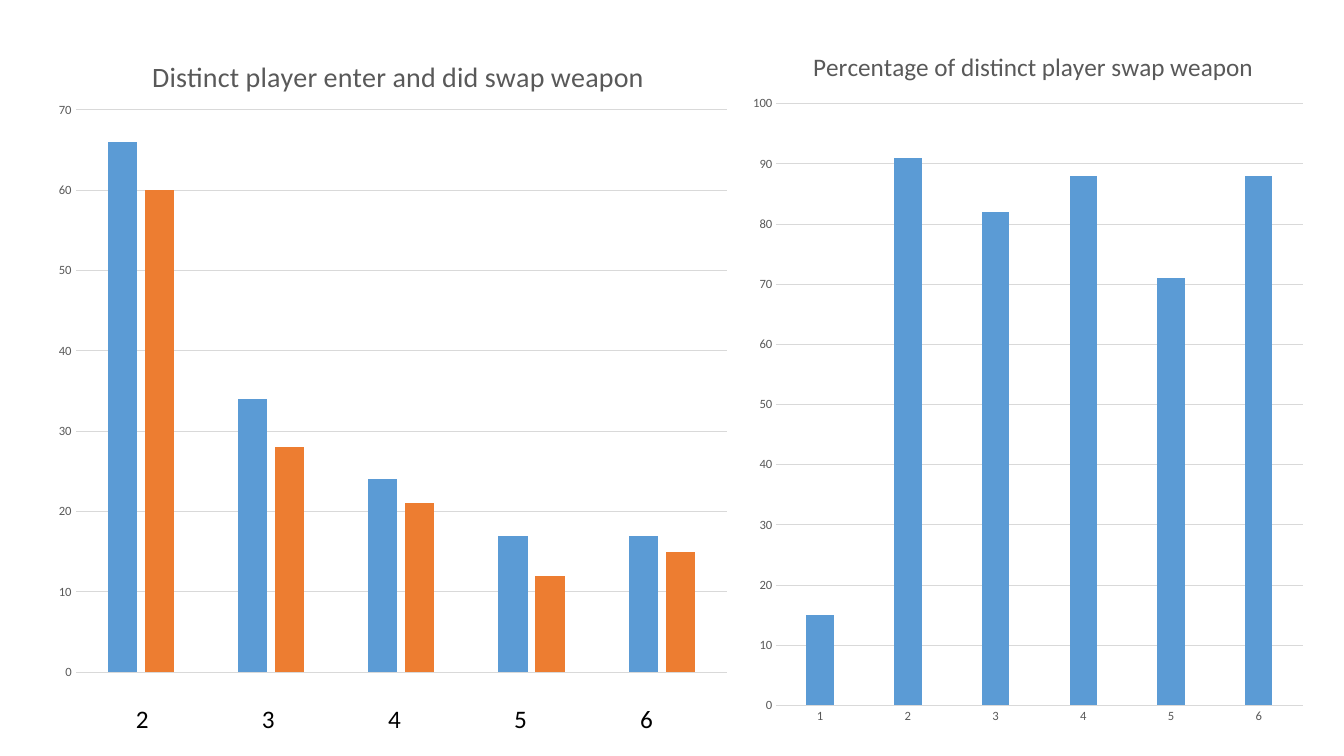
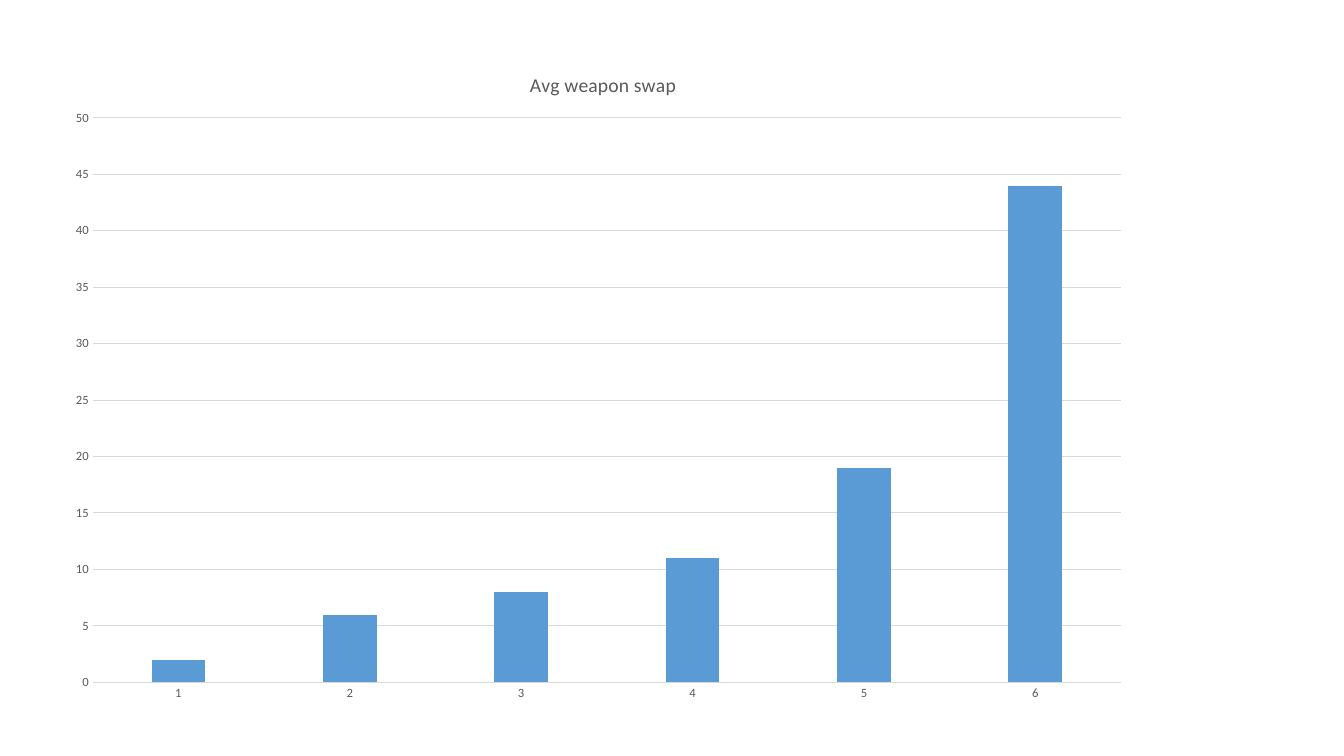
import dataclasses
import typing

import lxml.etree
import pptx
import pptx.chart.axis
import pptx.chart.chart
import pptx.chart.data
import pptx.dml.color
import pptx.enum.chart
import pptx.oxml.ns
import pptx.slide
import pptx.util

Inches = pptx.util.Inches
Pt = pptx.util.Pt
qn = pptx.oxml.ns.qn

FONT = "Calibri"
BLACK = "000000"
GREY_TEXT = "595959"
GRID_GREY = "D9D9D9"
SERIES_COLOURS = ("5B9BD5", "ED7D31")


class Box(typing.NamedTuple):
    """Left, top, width and height on the slide, in inches."""

    left: float
    top: float
    width: float
    height: float


@dataclasses.dataclass(frozen=True)
class ColumnChart:
    title: str
    title_size: int
    title_left: float
    title_top: float
    frame: Box
    plot: Box
    series: tuple[tuple[int, ...], ...]
    maximum: int
    step: int
    show_categories: bool = True


WEAPON_SLIDES = (
    (
        ColumnChart(
            "Distinct player enter and did swap weapon", 20, 1.46, 0.51,
            Box(0.45, 0.26, 6.91, 6.61), Box(0.75, 1.09, 6.46, 5.58),
            ((66, 34, 24, 17, 17), (60, 28, 21, 12, 15)), 70, 10,
            show_categories=False,
        ),
        ColumnChart(
            "Percentage of distinct player swap weapon", 18, 8.02, 0.44,
            Box(7.35, 0.17, 5.68, 7.17), Box(7.7, 1.03, 5.22, 5.97),
            ((15, 91, 82, 88, 71, 88),), 100, 10,
        ),
    ),
    (
        ColumnChart(
            "Avg weapon swap", 14, 5.22, 0.67,
            Box(0.54, 0.44, 10.8, 6.65), Box(0.92, 1.17, 10.2, 5.6),
            ((2, 6, 8, 11, 19, 44),), 50, 5,
        ),
    ),
)
LEVEL_LABELS = ("2", "3", "4", "5", "6")
LEVEL_BOX = Box(1.25, 6.93, 6.02, 0.4)
LEVEL_PITCH = 1.25


def colour(value: str) -> pptx.dml.color.RGBColor:
    return pptx.dml.color.RGBColor.from_string(value)


def apply_format(target: typing.Any, values: dict[str, typing.Any]) -> None:
    for name, value in values.items():
        setattr(target, name, value)


def format_font(font: typing.Any, size: float, value: str) -> None:
    apply_format(font, {"name": FONT, "size": Pt(size), "bold": False})
    font.color.rgb = colour(value)


def format_line(line: typing.Any) -> None:
    line.width = Pt(0.75)
    line.color.rgb = colour(GRID_GREY)


def set_layout(parent: typing.Any, values: dict[str, typing.Any]) -> None:
    """Give a chart part a manual layout, in fractions of the chart."""
    layout = parent.find(qn("c:layout"))
    if layout is None:
        layout = lxml.etree.Element(qn("c:layout"))
        parent.insert(0, layout)
    manual = lxml.etree.SubElement(layout, qn("c:manualLayout"))
    for name, value in values.items():
        lxml.etree.SubElement(manual, qn(f"c:{name}")).set("val", str(value))


def place_parts(chart: pptx.chart.chart.Chart, design: ColumnChart) -> None:
    frame, plot = design.frame, design.plot
    set_layout(chart.chart_title.element, {
        "xMode": "edge",
        "yMode": "edge",
        "x": (design.title_left - frame.left) / frame.width,
        "y": (design.title_top - frame.top) / frame.height,
    })
    set_layout(chart.element.find(f".//{qn('c:plotArea')}"), {
        "layoutTarget": "inner",
        "xMode": "edge",
        "yMode": "edge",
        "x": (plot.left - frame.left) / frame.width,
        "y": (plot.top - frame.top) / frame.height,
        "w": plot.width / frame.width,
        "h": plot.height / frame.height,
    })


def format_axes(chart: pptx.chart.chart.Chart, design: ColumnChart) -> None:
    for axis in (chart.category_axis, chart.value_axis):
        axis.major_tick_mark = pptx.enum.chart.XL_TICK_MARK.NONE
        format_font(axis.tick_labels.font, 9, GREY_TEXT)
    chart.category_axis.visible = design.show_categories
    format_line(chart.category_axis.format.line)
    value_axis = chart.value_axis
    apply_format(value_axis, {
        "minimum_scale": 0,
        "maximum_scale": design.maximum,
        "major_unit": design.step,
        "has_major_gridlines": True,
    })
    value_axis.format.line.fill.background()
    format_line(value_axis.major_gridlines.format.line)


def add_column_chart(slide: pptx.slide.Slide, design: ColumnChart) -> None:
    data = pptx.chart.data.CategoryChartData()
    data.categories = [str(i + 1) for i in range(len(design.series[0]))]
    for number, values in enumerate(design.series, 1):
        data.add_series(f"Series {number}", values)
    chart = slide.shapes.add_chart(
        pptx.enum.chart.XL_CHART_TYPE.COLUMN_CLUSTERED,
        *map(Inches, design.frame), data,
    ).chart
    format_font(chart.font, 10, BLACK)
    apply_format(chart, {"has_legend": False, "has_title": True})
    title_frame = chart.chart_title.text_frame
    title_frame.text = design.title
    format_font(title_frame.paragraphs[0].runs[0].font, design.title_size, GREY_TEXT)
    plot = chart.plots[0]
    apply_format(plot, {"gap_width": 219, "overlap": -27, "vary_by_categories": False})
    for series, value in zip(plot.series, SERIES_COLOURS):
        series.format.fill.solid()
        series.format.fill.fore_color.rgb = colour(value)
    format_axes(chart, design)
    place_parts(chart, design)


def add_level_labels(slide: pptx.slide.Slide) -> None:
    """Write the level numbers in one row, spaced by tab stops."""
    text_frame = slide.shapes.add_textbox(*map(Inches, LEVEL_BOX)).text_frame
    text_frame.word_wrap = True
    paragraph = text_frame.paragraphs[0]
    run = paragraph.add_run()
    run.text = "\t".join(LEVEL_LABELS)
    format_font(run.font, 18, BLACK)
    properties = paragraph._p.get_or_add_pPr()
    tab_list = lxml.etree.SubElement(properties, qn("a:tabLst"))
    for index in range(1, len(LEVEL_LABELS)):
        tab = lxml.etree.SubElement(tab_list, qn("a:tab"))
        tab.set("pos", str(Inches(index * LEVEL_PITCH)))
        tab.set("algn", "l")


def main() -> None:
    presentation = pptx.Presentation()
    apply_format(presentation, {"slide_width": Inches(13.33), "slide_height": Inches(7.5)})
    blank_layout = presentation.slide_layouts.get_by_name("Blank")
    for designs in WEAPON_SLIDES:
        slide = presentation.slides.add_slide(blank_layout)
        for design in designs:
            add_column_chart(slide, design)
    add_level_labels(presentation.slides[0])
    presentation.save("out.pptx")


if __name__ == "__main__":
    main()
